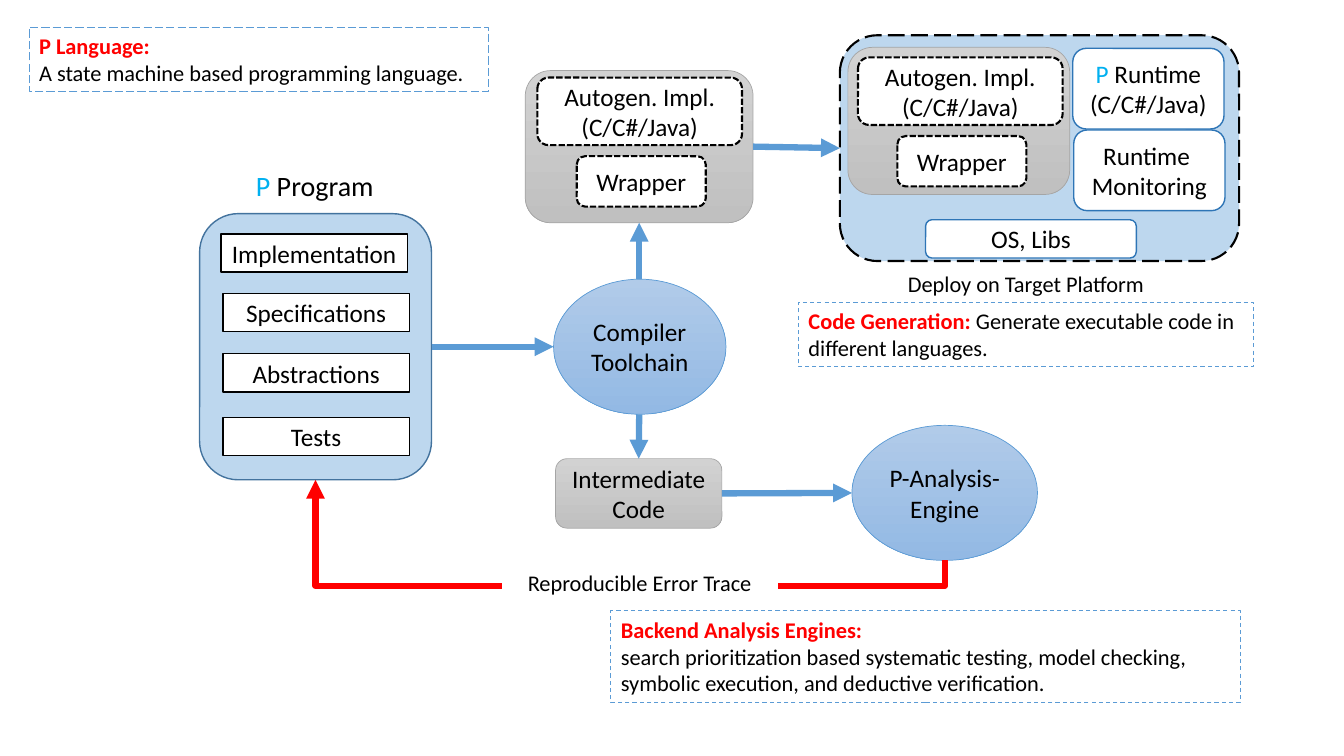
from dataclasses import dataclass
from typing import NamedTuple, Optional

from lxml import etree
from pptx import Presentation
from pptx import util as u
from pptx.dml.color import RGBColor
from pptx.enum import dml, shapes, text
from pptx.oxml.ns import qn

SCALE = 9144  # EMU in one px, 100 px to the inch


@dataclass(frozen=True)
class Theme:
    font: str = "Calibri"
    head: int = 20
    body: int = 18
    note: int = 16
    black: str = "000000"
    white: str = "FFFFFF"
    red: str = "FF0000"
    cyan: str = "00B0F0"
    blue: str = "5B9BD5"
    pale: str = "BDD7EE"
    navy: str = "43739E"
    deep: str = "2E75B6"
    ash: str = "A5A5A5"
    sky: tuple[str, str] = ("B1CBE9", "93B9E4")
    grey: tuple[str, str] = ("D2D2D2", "C0C0C0")
    arrow: float = 4.5


T = Theme()
KIND = shapes.MSO_SHAPE
DASH = dml.MSO_LINE
ALIGN = text.PP_ALIGN
TOP, MID = text.MSO_ANCHOR.TOP, text.MSO_ANCHOR.MIDDLE


class Run(NamedTuple):
    text: str
    color: str = T.black
    bold: bool = False


class Area(NamedTuple):
    left: int
    top: int
    width: int
    height: int


Lines = list[list[Run]]


@dataclass(frozen=True)
class Style:
    kind: int
    fill: object
    line: str
    width: float
    dash: Optional[int] = None


@dataclass(frozen=True)
class Note:
    area: Area
    dash: int
    lines: Lines


ROUND = KIND.ROUNDED_RECTANGLE
PANEL = Style(ROUND, T.pale, T.navy, 1)
PART = Style(KIND.RECTANGLE, T.white, T.black, 1)
OVAL = Style(KIND.OVAL, T.sky, T.blue, 0.5)
CARD = Style(ROUND, T.grey, T.ash, 0.5)
CODE = Style(ROUND, T.white, T.black, 1.5, DASH.SQUARE_DOT)
HOST = Style(ROUND, T.pale, T.black, 1.5, DASH.LONG_DASH)
LAYER = Style(ROUND, T.white, T.deep, 1)
TRACE = Style(KIND.RECTANGLE, T.white, T.white, 0.75)

deck = Presentation()
deck.slide_width, deck.slide_height = u.Emu(1333 * SCALE), u.Emu(750 * SCALE)
slide = deck.slides.add_slide(deck.slide_layouts[6])


def px(*sizes: int) -> list[u.Emu]:
    return [u.Emu(n * SCALE) for n in sizes]


def rows(*words: str) -> Lines:
    return [[Run(word)] for word in words]


def write(frame, lines: Lines, *, size: int = T.body, align=ALIGN.CENTER,
          anchor=MID, wrap: bool = True) -> None:
    frame.word_wrap = wrap
    frame.vertical_anchor = anchor
    for i, line in enumerate(lines):
        para = frame.paragraphs[0] if i == 0 else frame.add_paragraph()
        para.alignment = align
        for part in line:
            run = para.add_run()
            run.text = part.text
            run.font.name, run.font.size = T.font, u.Pt(size)
            run.font.bold = part.bold
            run.font.color.rgb = RGBColor.from_string(part.color)


def box(area: Area, style: Style, lines: Optional[Lines] = None, **form):
    shape = slide.shapes.add_shape(style.kind, *px(*area))
    shape.shadow.inherit = False
    if style.fill is None:
        shape.fill.background()
    elif isinstance(style.fill, tuple):
        shape.fill.gradient()
        shape.fill.gradient_angle = 270
        for stop, color in zip(shape.fill.gradient_stops, style.fill):
            stop.color.rgb = RGBColor.from_string(color)
    else:
        shape.fill.solid()
        shape.fill.fore_color.rgb = RGBColor.from_string(style.fill)
    shape.line.color.rgb = RGBColor.from_string(style.line)
    shape.line.width = u.Pt(style.width)
    if style.dash is not None:
        shape.line.dash_style = style.dash
    if lines:
        write(shape.text_frame, lines, **form)
    return shape


def label(area: Area, lines: Lines, **form) -> None:
    write(slide.shapes.add_textbox(*px(*area)).text_frame, lines, anchor=TOP, **form)


def card(area: Area, left: int, top: int):
    shape = box(area, CARD)
    box(Area(left, top, 203, 67), CODE, rows("Autogen. Impl.", "(C/C#/Java)"))
    box(Area(left + 39, top + 78, 128, 50), CODE, rows("Wrapper"))
    return shape


def arrow(ends: tuple[int, int, int, int], color: str = T.blue,
          kind=shapes.MSO_CONNECTOR.STRAIGHT, start=None, stop=None):
    link = slide.shapes.add_connector(kind, *px(*ends))
    link.line.color.rgb = RGBColor.from_string(color)
    link.line.width = u.Pt(T.arrow)
    line = link.line._get_or_add_ln()
    etree.SubElement(line, qn("a:tailEnd"), type="triangle")
    etree.SubElement(link._element.spPr, qn("a:effectLst"))
    if start:
        link.begin_connect(*start)
    if stop:
        link.end_connect(*stop)
    return link


# Program and its parts
program = box(Area(198, 212, 230, 264), PANEL)
for name, left, top in (("Implementation", 219, 232), ("Specifications", 221, 291),
                        ("Abstractions", 221, 351), ("Tests", 221, 414)):
    box(Area(left, top, 185, 38), PART, rows(name))
label(Area(244, 162, 138, 44), [[Run("P", T.cyan), Run(" Program")]],
      size=T.head, align=ALIGN.LEFT, wrap=False)

# Compiler and analysis
box(Area(549, 277, 171, 134), OVAL, rows("Compiler", "Toolchain"))
inter = box(Area(551, 455, 165, 69), CARD, rows("Intermediate Code"))
box(Area(845, 422, 184, 134), OVAL, rows("P-Analysis-Engine"))

# Generated code and target platform
output = card(Area(521, 70, 226, 151), 533, 77)
host = box(Area(833, 35, 396, 224), HOST)
card(Area(841, 47, 220, 146), 851, 57)
box(Area(1064, 48, 150, 80), LAYER,
    [[Run("P ", T.cyan), Run("Runtime")], [Run("(C/C#/Java)")]])
box(Area(1065, 129, 150, 80), LAYER, rows("Runtime ", "Monitoring"))
box(Area(918, 218, 209, 38), LAYER, rows("OS, Libs"))
label(Area(863, 263, 309, 37), rows("Deploy on Target Platform"), size=T.note)

# Flow arrows
arrow((428, 344, 549, 344), start=(program, 3))
arrow((634, 411, 634, 455), stop=(inter, 0))
arrow((716, 490, 845, 489), start=(inter, 3))
arrow((634, 277, 634, 221), stop=(output, 2))
arrow((747, 146, 833, 147), start=(output, 3), stop=(host, 1))

# Error trace: an elbow turned a quarter, leaving and arriving from below
back = arrow((665, 204, 585, 828), T.red, shapes.MSO_CONNECTOR.ELBOW)
props = back._element.spPr
props.find(qn("a:xfrm")).set("rot", "5400000")
bend = props.find(qn("a:prstGeom")).get_or_add_avLst()
etree.SubElement(bend, qn("a:gd"), name="adj1", fmla="val -31400")
box(Area(498, 560, 273, 37), TRACE, rows("Reproducible Error Trace"),
    size=T.note, anchor=TOP)

# Notes
NOTES = [
    Note(Area(29, 27, 456, 64), DASH.LONG_DASH,
         [[Run("P Language:", T.red, True)],
          [Run("A state machine based programming language.")]]),
    Note(Area(606, 606, 624, 91), DASH.DASH,
         [[Run("Backend Analysis Engines:", T.red, True)],
          [Run("search prioritization based systematic testing, model checking, "
               "symbolic execution, and deductive verification.")]]),
    Note(Area(792, 300, 451, 64), DASH.DASH,
         [[Run("Code Generation: ", T.red, True),
           Run("Generate executable code in different languages.")]]),
]
for note in NOTES:
    box(note.area, Style(KIND.RECTANGLE, None, T.blue, 0.75, note.dash), note.lines,
        size=T.note, align=ALIGN.LEFT, anchor=TOP)

deck.save("out.pptx")
